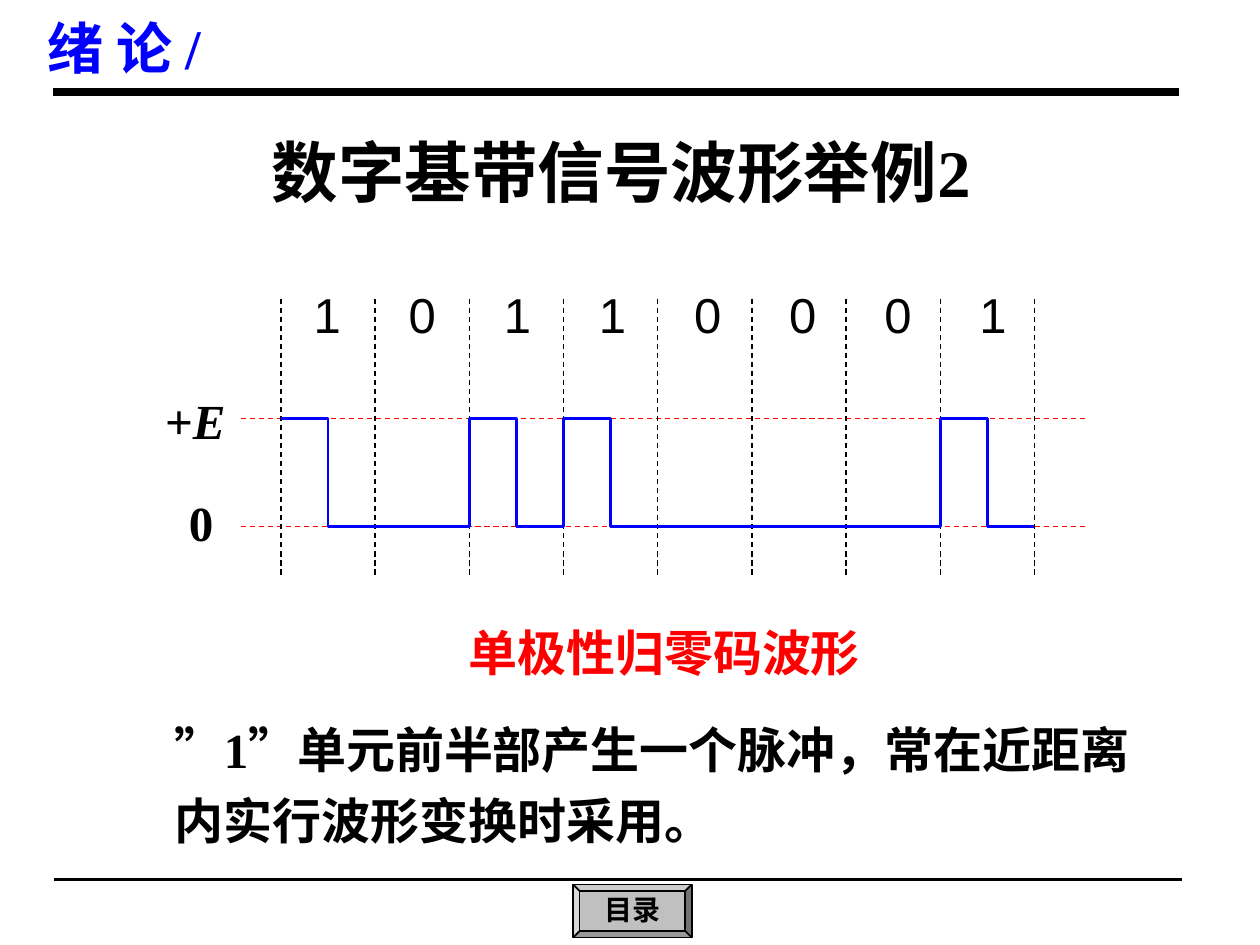
from dataclasses import dataclass

from lxml.etree import SubElement
from pptx import Presentation
from pptx.dml.color import RGBColor
from pptx.enum.dml import MSO_LINE
from pptx.enum.shapes import MSO_CONNECTOR, MSO_SHAPE
from pptx.enum.text import MSO_ANCHOR as Anchor
from pptx.enum.text import MSO_AUTO_SIZE as AutoSize
from pptx.enum.text import PP_ALIGN as Align
from pptx.oxml.ns import qn
from pptx.util import Inches, Pt

BLACK = RGBColor(0x00, 0x00, 0x00)
RED = RGBColor(0xFF, 0x00, 0x00)
BLUE = RGBColor(0x00, 0x00, 0xFF)
SILVER = RGBColor(0xC0, 0xC0, 0xC0)
SERIF = "Times New Roman"
SANS = "Arial"

BITS = "10110001"
BIT_PITCH = Inches(6.04) // len(BITS)
GRID_LEFT, GRID_RIGHT = 2.23, 8.21
GRID_TOP, GRID_BOTTOM = 2.37, 4.58
HIGH, LOW = 3.32, 4.18
CELL = (GRID_RIGHT - GRID_LEFT) / len(BITS)


@dataclass
class Rule:
    x1: float
    y1: float
    x2: float
    y2: float
    color: RGBColor = BLACK
    width: float = 0.75
    dash: bool = True


@dataclass
class Label:
    left: float
    top: float
    width: float
    height: float
    text: str
    size: float = 28
    font: str = SERIF
    color: RGBColor = BLACK
    bold: bool = True
    wrap: bool = True
    align: Align = Align.LEFT
    spacing: float = 1.0


def write(para, text: str, *, size: float = 28, font: str = SERIF,
          color: RGBColor = BLACK, bold: bool = True, italic: bool = False):
    span = para.add_run()
    span.text = text
    span.font.size = Pt(size)
    span.font.name = font
    span.font.color.rgb = color
    span.font.bold = bold
    span.font.italic = italic
    return span


def draw_rule(page, rule: Rule) -> None:
    line = page.shapes.add_connector(
        MSO_CONNECTOR.STRAIGHT, Inches(rule.x1), Inches(rule.y1),
        Inches(rule.x2), Inches(rule.y2))
    line.line.color.rgb = rule.color
    line.line.width = Pt(rule.width)
    if rule.dash:
        line.line.dash_style = MSO_LINE.DASH
    SubElement(line._element.spPr, qn("a:effectLst"))


def draw_label(page, label: Label):
    box = page.shapes.add_textbox(Inches(label.left), Inches(label.top),
                                  Inches(label.width), Inches(label.height))
    frame = box.text_frame
    frame.word_wrap = label.wrap
    frame.auto_size = AutoSize.SHAPE_TO_FIT_TEXT
    para = frame.paragraphs[0]
    para.alignment = label.align
    para.line_spacing = label.spacing
    write(para, label.text, size=label.size, font=label.font,
          color=label.color, bold=label.bold)
    return para


def draw_title(page, text: str) -> None:
    title = page.shapes.title
    title.left, title.top = Inches(0.43), Inches(0.99)
    title.width, title.height = Inches(9), Inches(1.25)
    frame = title.text_frame
    frame.auto_size = AutoSize.NONE
    frame.vertical_anchor = Anchor.TOP
    para = frame.paragraphs[0]
    para.alignment = Align.CENTER
    write(para, text, size=38)


def draw_bits(page) -> None:
    para = draw_label(page, Label(2.39, 2.21, 6.38, 0.57, "\t".join(BITS),
                                  font=SANS, bold=False))
    tabs = SubElement(para._p.get_or_add_pPr(), qn("a:tabLst"))
    for index in range(1, len(BITS)):
        SubElement(tabs, qn("a:tab"), pos=str(BIT_PITCH * index), algn="l")


def draw_waveform(page) -> None:
    points = []
    for index, bit in enumerate(BITS):
        start = GRID_LEFT + index * CELL
        if bit == "1":
            middle = start + CELL / 2
            points += [(start, HIGH), (middle, HIGH), (middle, LOW)]
        points.append((start + CELL, LOW))
    corners = [(Inches(x), Inches(y)) for x, y in points]
    builder = page.shapes.build_freeform(*corners[0])
    builder.add_line_segments(corners[1:], close=False)
    wave = builder.convert_to_shape()
    wave.shadow.inherit = False
    wave.fill.background()
    wave.line.color.rgb = BLUE
    wave.line.width = Pt(1.5)


def draw_button(page, text: str) -> None:
    button = page.shapes.add_shape(MSO_SHAPE.BEVEL, Inches(4.55), Inches(7.02),
                                   Inches(0.94), Inches(0.42))
    button.adjustments[0] = 0.12
    button.shadow.inherit = False
    button.fill.solid()
    button.fill.fore_color.rgb = SILVER
    button.line.color.rgb = BLACK
    button.line.width = Pt(1)
    frame = button.text_frame
    frame.margin_left = frame.margin_right = Inches(0.04)
    frame.margin_top = frame.margin_bottom = Inches(0.04)
    frame.vertical_anchor = Anchor.MIDDLE
    para = frame.paragraphs[0]
    para.alignment = Align.CENTER
    para.line_spacing = 0.9
    write(para, text, size=16)


def main() -> None:
    deck = Presentation()
    deck.slide_width, deck.slide_height = Inches(10), Inches(7.5)
    page = deck.slides.add_slide(deck.slide_layouts[5])

    draw_rule(page, Rule(0.43, 6.98, 9.38, 6.98, width=2.25, dash=False))
    draw_label(page, Label(0.28, 0.06, 4.63, 0.64, "绪 论 /", size=32, color=BLUE))
    draw_rule(page, Rule(0.42, 0.73, 9.36, 0.73, width=4.5, dash=False))
    draw_button(page, "目录")
    draw_title(page, "数字基带信号波形举例2")

    draw_bits(page)
    for level in (HIGH, LOW):
        draw_rule(page, Rule(1.91, level, 8.61, level, color=RED))
    for index in range(len(BITS) + 1):
        edge = GRID_LEFT + index * CELL
        draw_rule(page, Rule(edge, GRID_TOP, edge, GRID_BOTTOM))
    draw_waveform(page)

    draw_label(page, Label(3.62, 4.89, 3.5, 0.57, "单极性归零码波形",
                           font=SANS, color=RED))
    draw_label(page, Label(1.29, 5.57, 7.91, 1.22,
                           "”1”单元前半部产生一个脉冲，常在近距离内实行波形变换时采用。",
                           spacing=1.2))
    level_para = draw_label(page, Label(1.21, 3.05, 0.68, 0.57, "+",
                                        wrap=False, align=Align.CENTER))
    write(level_para, "E", italic=True)
    draw_label(page, Label(1.4, 3.86, 0.39, 0.57, "0",
                           wrap=False, align=Align.CENTER))

    deck.save("out.pptx")


if __name__ == "__main__":
    main()
